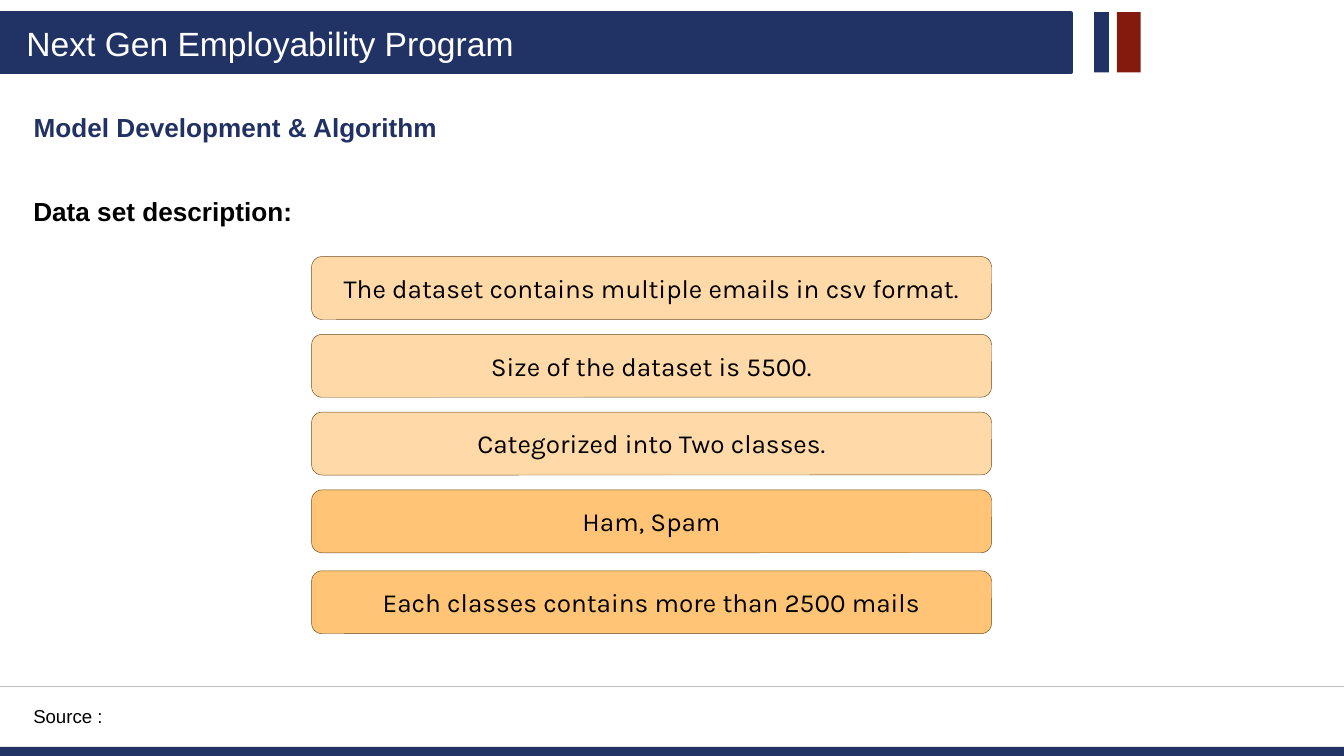
from dataclasses import dataclass

from lxml import etree
from pptx import Presentation
from pptx import util as u
from pptx.dml.color import RGBColor
from pptx.enum import shapes, text
from pptx.oxml import ns


@dataclass(frozen=True)
class Theme:
    navy: str = "213264"
    heading: str = "213163"
    red: str = "841910"
    white: str = "FFFFFF"
    black: str = "000000"
    rule: str = "BFBFBF"
    light_orange: str = "FFD9A7"
    orange: str = "FFC475"
    brown: str = "704B1C"
    sans: str = "Arial"
    card_font: str = "Karla"
    banner_size: int = 18
    body_size: int = 14
    source_size: int = 10


theme = Theme()
presentation = Presentation()
presentation.slide_width = u.Cm(25.4)
presentation.slide_height = u.Cm(14.29)
slide = presentation.slides.add_slide(presentation.slide_layouts[5])


def add_box(kind, left, top, width, height, fill, line=None, line_width=0):
    shape = slide.shapes.add_shape(kind, u.Cm(left), u.Cm(top), u.Cm(width), u.Cm(height))
    shape.shadow.inherit = False
    shape.fill.solid()
    shape.fill.fore_color.rgb = RGBColor.from_string(fill)
    if line:
        shape.line.color.rgb = RGBColor.from_string(line)
        shape.line.width = u.Pt(line_width)
    else:
        shape.line.fill.background()
    return shape


def write(shape, words, size, color, font=theme.sans, bold=False,
          align=text.PP_ALIGN.LEFT, anchor=text.MSO_ANCHOR.TOP):
    frame = shape.text_frame
    frame.word_wrap = True
    frame.auto_size = text.MSO_AUTO_SIZE.NONE
    frame.vertical_anchor = anchor
    paragraph = frame.paragraphs[0]
    paragraph.alignment = align
    run = paragraph.add_run()
    run.text = words
    run.font.size = u.Pt(size)
    run.font.name = font
    run.font.bold = bold
    run.font.color.rgb = RGBColor.from_string(color)


# Banner, stripes and bottom bar
rectangle = shapes.MSO_SHAPE.RECTANGLE
add_box(rectangle, 21.11, 0.23, 0.45, 1.14, theme.red)
add_box(rectangle, 20.68, 0.23, 0.28, 1.14, theme.navy)
add_box(rectangle, 0, 14.12, 25.4, 0.17, theme.navy)
add_box(rectangle, 0, 0.25, 20.24, 1.12, theme.navy, theme.navy, 2)
banner = slide.shapes.add_textbox(u.Cm(0.25), u.Cm(0.3), u.Cm(10.97), u.Cm(1.02))
write(banner, "Next Gen Employability Program", theme.banner_size, theme.white)

# Headings
title = slide.shapes.title
title.left, title.top, title.width, title.height = u.Cm(0.38), u.Cm(1.98), u.Cm(8.64), u.Cm(1.45)
write(title, "Model Development & Algorithm", theme.body_size, theme.heading, bold=True)
subheading = slide.shapes.add_textbox(u.Cm(0.38), u.Cm(3.56), u.Cm(5.51), u.Cm(0.86))
write(subheading, "Data set description:", theme.body_size, theme.black, bold=True)

# Data set cards: the gap is slightly wider between the darker ones
light = (theme.light_orange, 1.47)
dark = (theme.orange, 1.53)
cards = [
    ("The dataset contains multiple emails in csv format.", light),
    ("Size of the dataset is 5500.", light),
    ("Categorized into Two classes.", light),
    ("Ham, Spam", dark),
    ("Each classes contains more than 2500 mails", dark),
]
card_top = 4.85
for words, (fill, pitch) in cards:
    card = add_box(shapes.MSO_SHAPE.ROUNDED_RECTANGLE, 5.89, card_top, 12.85, 1.19,
                   fill, theme.brown, 0.25)
    write(card, words, theme.body_size, theme.black, theme.card_font,
          align=text.PP_ALIGN.CENTER, anchor=text.MSO_ANCHOR.MIDDLE)
    card_top += pitch

# Footer rule and source
rule = slide.shapes.add_connector(shapes.MSO_CONNECTOR.STRAIGHT,
                                  u.Cm(0), u.Cm(12.98), u.Cm(25.4), u.Cm(12.98))
rule.line.color.rgb = RGBColor.from_string(theme.rule)
rule.line.width = u.Pt(0.75)
etree.SubElement(rule._element.spPr, ns.qn("a:effectLst"))
source = slide.shapes.add_textbox(u.Cm(0.38), u.Cm(13.08), u.Cm(1.96), u.Cm(0.89))
source.text_frame.margin_top = source.text_frame.margin_bottom = u.Cm(0.25)
write(source, "Source :", theme.source_size, theme.black)

presentation.save("out.pptx")
